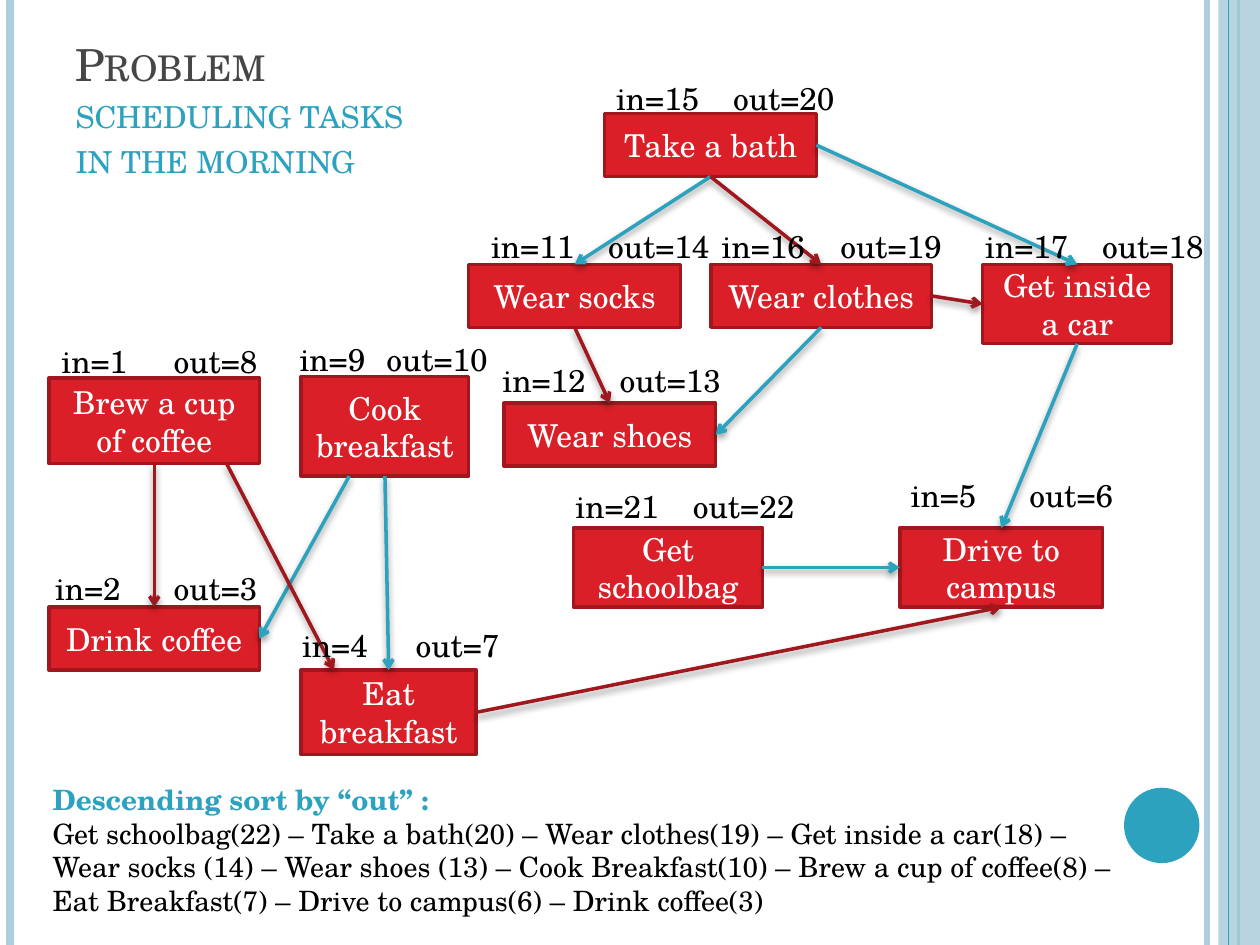
from copy import deepcopy
from dataclasses import dataclass

from lxml import etree
from pptx import Presentation
from pptx.dml.color import RGBColor
from pptx.enum import shapes, text
from pptx.oxml import parse_xml
from pptx.oxml.ns import nsdecls, qn
from pptx.util import Cm, Pt

FONT = "TeX Gyre Schola"
TEAL = RGBColor(0x2D, 0xA2, 0xBF)
PALE_BLUE = RGBColor(0xAD, 0xCE, 0xDC)
RED = RGBColor(0xDA, 0x1F, 0x28)
DARK_RED = RGBColor(0xA1, 0x17, 0x1E)
GRAY = RGBColor(0x46, 0x46, 0x46)
BLACK = RGBColor(0, 0, 0)
WHITE = RGBColor(0xFF, 0xFF, 0xFF)
SLIDE_HEIGHT = 19.05
TOP, LEFT, BOTTOM, RIGHT = range(4)  # connection sites of a rectangle

ARROW_SHADOW = (
    f'<a:effectLst {nsdecls("a")}>'
    '<a:outerShdw blurRad="50800" dist="25400" dir="5400000" rotWithShape="0">'
    '<a:srgbClr val="000000"><a:alpha val="40000"/></a:srgbClr>'
    "</a:outerShdw></a:effectLst>"
)


@dataclass
class Task:
    """A task box with its in and out times; lengths are in centimetres."""
    name: str
    left: float
    top: float
    width: float
    height: float
    time_in: int
    time_out: int
    in_left: float
    out_left: float
    label_top: float


@dataclass
class Arrow:
    """A link between two tasks; a shift moves an end along its edge."""
    source: str
    source_site: int
    target: str
    target_site: int
    color: RGBColor
    source_shift: float = 0
    target_shift: float = 0


TASKS = [
    Task("Brew a cup of coffee", 0.99, 7.62, 4.24, 1.73, 1, 8, 0.99, 3.25, 6.78),
    Task("Drink coffee", 0.99, 12.24, 4.24, 1.27, 2, 3, 0.86, 3.25, 11.35),
    Task("Cook breakfast", 6.07, 7.59, 3.38, 2.01, 9, 10, 5.79, 7.54, 6.73),
    Task("Eat breakfast", 6.07, 13.51, 3.53, 1.7, 4, 7, 5.84, 8.13, 12.5),
    Task("Take a bath", 12.19, 2.29, 4.27, 1.27, 15, 20, 12.17, 14.53, 1.47),
    Task("Wear socks", 9.45, 5.33, 4.27, 1.27, 11, 14, 9.65, 12.01, 4.45),
    Task("Wear clothes", 14.33, 5.33, 4.45, 1.27, 16, 19, 14.3, 16.69, 4.45),
    Task("Get inside a car", 19.81, 5.33, 3.81, 1.6, 17, 18, 19.61, 21.97, 4.45),
    Task("Wear shoes", 10.16, 8.13, 4.27, 1.27, 12, 13, 9.88, 12.24, 7.16),
    Task("Get schoolbag", 11.56, 10.64, 3.81, 1.6, 21, 22, 11.35, 13.72, 9.7),
    Task("Drive to campus", 18.14, 10.64, 4.09, 1.6, 5, 6, 18.11, 20.5, 9.47),
]

ARROWS = [
    Arrow("Take a bath", BOTTOM, "Wear socks", TOP, TEAL),
    Arrow("Take a bath", RIGHT, "Get inside a car", TOP, TEAL),
    Arrow("Wear clothes", BOTTOM, "Wear shoes", RIGHT, TEAL),
    Arrow("Get inside a car", BOTTOM, "Drive to campus", TOP, TEAL),
    Arrow("Get schoolbag", RIGHT, "Drive to campus", LEFT, TEAL),
    Arrow("Cook breakfast", BOTTOM, "Eat breakfast", TOP, TEAL),
    Arrow("Cook breakfast", BOTTOM, "Drink coffee", RIGHT, TEAL, source_shift=-0.72),
    Arrow("Take a bath", BOTTOM, "Wear clothes", TOP, DARK_RED),
    Arrow("Wear clothes", RIGHT, "Get inside a car", LEFT, DARK_RED),
    Arrow("Wear socks", BOTTOM, "Wear shoes", TOP, DARK_RED),
    Arrow("Brew a cup of coffee", BOTTOM, "Drink coffee", TOP, DARK_RED),
    Arrow("Brew a cup of coffee", BOTTOM, "Eat breakfast", TOP, DARK_RED, 1.46, -1.1),
    Arrow("Eat breakfast", RIGHT, "Drive to campus", BOTTOM, DARK_RED),
]

SORTED_TASKS = (
    "Get schoolbag(22) – Take a bath(20) – Wear clothes(19) – Get inside a car(18) – "
    "Wear socks (14) – Wear shoes (13) – Cook Breakfast(10) – Brew a cup of coffee(8) – "
    "Eat Breakfast(7) – Drive to campus(6) – Drink coffee(3)"
)


def add_run(paragraph, content: str, size: float, color: RGBColor, bold: bool = False):
    run = paragraph.add_run()
    run.text = content
    run.font.name = FONT
    run.font.size = Pt(size)
    run.font.bold = bold
    run.font.color.rgb = color
    return run


def add_text_box(slide, left: float, top: float, width: float, height: float, wrap: bool):
    box = slide.shapes.add_textbox(Cm(left), Cm(top), Cm(width), Cm(height))
    box.text_frame.word_wrap = wrap
    return box.text_frame


def add_plain_shape(slide, kind, left: float, top: float, width: float, height: float,
                    fill: RGBColor):
    shape = slide.shapes.add_shape(kind, Cm(left), Cm(top), Cm(width), Cm(height))
    shape.shadow.inherit = False
    shape.fill.solid()
    shape.fill.fore_color.rgb = fill
    shape.line.fill.background()
    return shape


def add_vertical_line(slide, x: float, color: RGBColor, width: float) -> None:
    line = slide.shapes.add_connector(
        shapes.MSO_CONNECTOR.STRAIGHT, Cm(x), 0, Cm(x), Cm(SLIDE_HEIGHT))
    line.line.color.rgb = color
    line.line.width = Pt(width)
    etree.SubElement(line._element.spPr, qn("a:effectLst"))


def add_side_bands(slide) -> None:
    for x, color, width in ((24.33, PALE_BLUE, 3), (0.2, PALE_BLUE, 4.5), (24.97, TEAL, 1.5)):
        add_vertical_line(slide, x, color, width)
    band = add_plain_shape(slide, shapes.MSO_SHAPE.RECTANGLE,
                           24.56, 0, 0.84, SLIDE_HEIGHT, PALE_BLUE)
    band_color = band._element.spPr.find(qn("a:solidFill"))[0]
    etree.SubElement(band_color, qn("a:alpha"), val="87000")
    add_vertical_line(slide, 24.77, TEAL, 0.75)
    add_plain_shape(slide, shapes.MSO_SHAPE.OVAL, 22.66, 15.88, 1.52, 1.52, TEAL)


def fill_title(title) -> None:
    title.left, title.top, title.width, title.height = Cm(1.27), Cm(0.76), Cm(20.75), Cm(3.02)
    frame = title.text_frame
    frame.vertical_anchor = text.MSO_ANCHOR.BOTTOM
    frame.auto_size = text.MSO_AUTO_SIZE.NONE
    paragraph = frame.paragraphs[0]
    paragraph.alignment = text.PP_ALIGN.LEFT
    lines = [("Problem", 25.2, GRAY), ("scheduling tasks", 21.6, TEAL), ("in the morning", 21.6, TEAL)]
    for number, (content, size, color) in enumerate(lines):
        if number:
            # A line break takes the format of the run before it.
            paragraph.add_line_break()
            paragraph._p[-1].append(deepcopy(run._r.rPr))
        run = add_run(paragraph, content, size, color)
        run._r.rPr.set("cap", "small")


def add_task_box(slide, task: Task):
    box = add_plain_shape(slide, shapes.MSO_SHAPE.RECTANGLE,
                          task.left, task.top, task.width, task.height, RED)
    box.line.color.rgb = DARK_RED
    box.line.width = Pt(2)
    box.text_frame.vertical_anchor = text.MSO_ANCHOR.MIDDLE
    paragraph = box.text_frame.paragraphs[0]
    paragraph.alignment = text.PP_ALIGN.CENTER
    add_run(paragraph, task.name, 18, WHITE)
    return box


def add_time_labels(slide, task: Task) -> None:
    for word, time, left, base_width in (("in", task.time_in, task.in_left, 1.85),
                                         ("out", task.time_out, task.out_left, 2.21)):
        width = base_width + 0.36 * (len(str(time)) - 1)
        frame = add_text_box(slide, left, task.label_top, width, 1.02, wrap=False)
        add_run(frame.paragraphs[0], f"{word}={time}", 18, BLACK)


def add_arrow(slide, arrow: Arrow, boxes: dict) -> None:
    connector = slide.shapes.add_connector(shapes.MSO_CONNECTOR.STRAIGHT, 0, 0, 0, 0)
    connector.begin_connect(boxes[arrow.source], arrow.source_site)
    connector.end_connect(boxes[arrow.target], arrow.target_site)
    links = connector._element.nvCxnSpPr.cNvCxnSpPr
    if arrow.source_shift:
        connector.begin_x += Cm(arrow.source_shift)
        links.remove(links.stCxn)
    if arrow.target_shift:
        connector.end_x += Cm(arrow.target_shift)
        links.remove(links.endCxn)
    connector.line.color.rgb = arrow.color
    connector.line.width = Pt(2)
    etree.SubElement(connector.line._get_or_add_ln(), qn("a:tailEnd"), type="arrow")
    connector._element.spPr.append(parse_xml(ARROW_SHADOW))


def main() -> None:
    presentation = Presentation()
    presentation.slide_width, presentation.slide_height = Cm(25.4), Cm(SLIDE_HEIGHT)
    slide = presentation.slides.add_slide(presentation.slide_layouts[5])
    add_side_bands(slide)
    fill_title(slide.shapes.title)
    boxes = {task.name: add_task_box(slide, task) for task in TASKS}
    for arrow in ARROWS:
        add_arrow(slide, arrow, boxes)
    for task in TASKS:
        add_time_labels(slide, task)
    summary = add_text_box(slide, 0.81, 15.65, 22.45, 3, wrap=True)
    add_run(summary.paragraphs[0], "Descending sort by “out” :", 16, TEAL, bold=True)
    add_run(summary.add_paragraph(), SORTED_TASKS, 16, BLACK)
    presentation.save("out.pptx")


if __name__ == "__main__":
    main()
